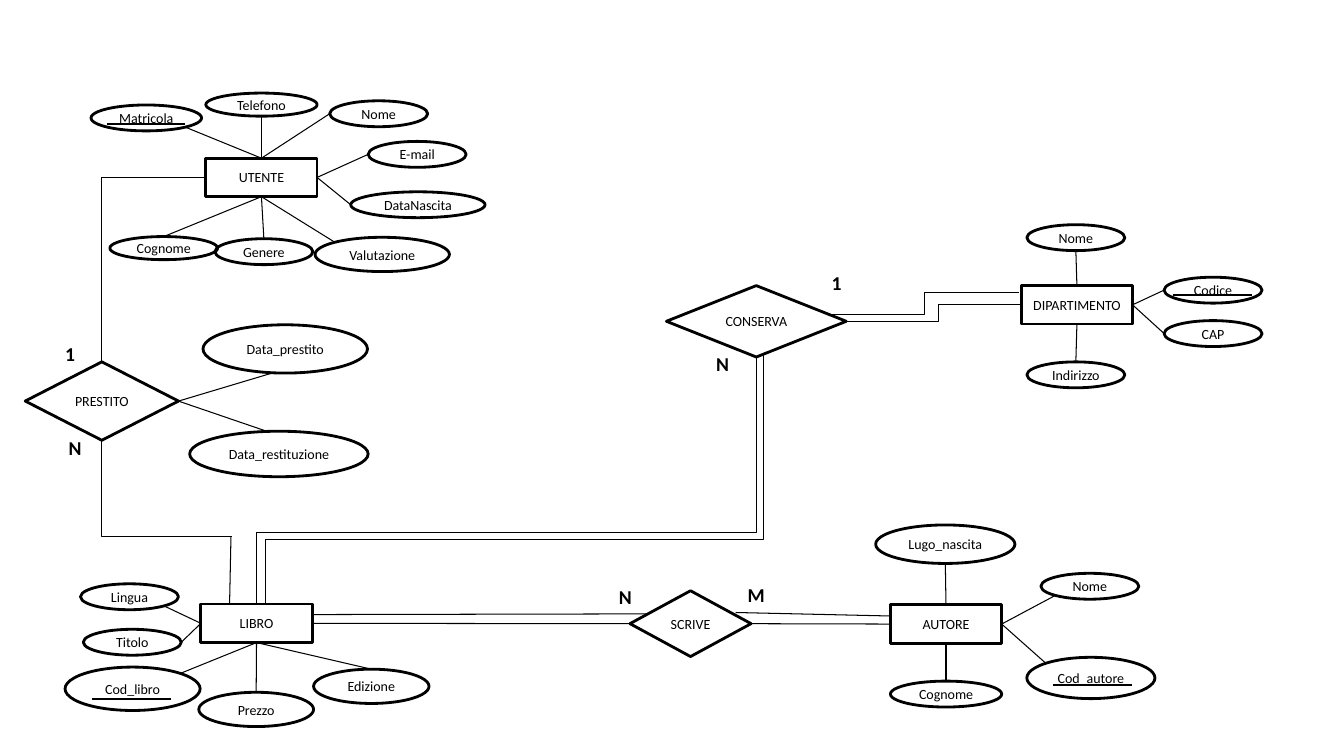
import pptx
import pptx.dml.color
import pptx.enum.shapes
import pptx.enum.text
import pptx.oxml.ns
import pptx.util
import lxml.etree

Pt = pptx.util.Pt
SHAPE = pptx.enum.shapes.MSO_SHAPE
LINE = pptx.enum.shapes.MSO_CONNECTOR
ALIGN = pptx.enum.text.PP_ALIGN
ANCHOR = pptx.enum.text.MSO_ANCHOR

INK = "000000"
NODE_FONT = {"name": "Calibri", "size": Pt(10), "bold": False}
LABEL_FONT = {"name": "Calibri", "size": Pt(14), "bold": True}
ENTITY = (79.5, 27.5)
OVAL = (70, 18.5)

SIDES = {
    "top": (0.5, 0), "bottom": (0.5, 1), "left": (0, 0.5), "right": (1, 0.5),
    "tl": (0.15, 0.15), "tr": (0.85, 0.15), "bl": (0.15, 0.85), "br": (0.85, 0.85),
    "near top": (0.43, 0), "near bottom": (0.42, 1),
}

ENTITIES = {
    "UTENTE": (147, 113, *ENTITY),
    "DIPARTIMENTO": (729.5, 204, *ENTITY),
    "LIBRO": (143.5, 431.5, *ENTITY),
    "AUTORE": (636, 432, *ENTITY),
}
RELATIONS = {
    "PRESTITO": (18, 258.5, 109.5, 56),
    "SCRIVE": (450, 422, 86.5, 47),
    "CONSERVA": (476, 204, 128.5, 51),
}
ATTRIBUTES = {
    "UTENTE": [
        ("Matricola", (65, 75, 79, 18.5), "top", "br"),
        ("Telefono", (147, 66.5, 79.5, 16.5), "top", "bottom"),
        ("Nome", (235.5, 72, *OVAL), "top", "left"),
        ("E-mail", (263, 101, *OVAL), "right", "left"),
        ("DataNascita", (250.5, 137, 96, 18.5), "right", "left"),
        ("Cognome", (78.5, 169, 77, 16.5), "bottom", "top"),
        ("Genere", (153.5, 170.5, *OVAL), "bottom", "top"),
        ("Valutazione", (225, 169.5, 96, 24.5), "bottom", "tl"),
    ],
    "PRESTITO": [
        ("Data_prestito", (145, 232, 117.5, 34.5), "right", "near bottom"),
        ("Data_restituzione", (135.5, 308, 127.5, 32.5), "right", "near top"),
    ],
    "DIPARTIMENTO": [
        ("Nome", (733.5, 160.5, *OVAL), "top", "bottom"),
        ("Codice", (831.5, 198, *OVAL), "right", "left"),
        ("CAP", (831.5, 229, *OVAL), "right", "left"),
        ("Indirizzo", (733.5, 258.5, *OVAL), "bottom", "top"),
    ],
    "LIBRO": [
        ("Lingua", (57.5, 417, *OVAL), "left", "br"),
        ("Titolo", (59.5, 449.5, *OVAL), "left", "right"),
        ("Cod_libro", (46.5, 476.5, 96.5, 31), "bottom", "tr"),
        ("Prezzo", (142, 494.5, 82, 24.5), "bottom", "top"),
        ("Edizione", (224, 478, 82.5, 24.5), "bottom", "top"),
    ],
    "AUTORE": [
        ("Lugo_nascita", (625.5, 375, 99.5, 27.5), "top", "bottom"),
        ("Nome", (743.5, 409.5, *OVAL), "right", "bl"),
        ("Cod_autore", (733.5, 469.5, 91.5, 29.5), "right", "tl"),
        ("Cognome", (636, 486.5, 79.5, 18.5), "bottom", "top"),
    ],
}
KEY_WIDTH = 56
KEY_UNDERLINES = [(76.5, 88.5), (838, 211), (66, 499), (752.5, 489.5)]
SECOND_STRANDS = [
    ((224, 439), (462, 438.5)),
    ((525.5, 437.5), (636, 440)),
    ((164, 431.5), (165, 383.5)),
]
CARDINALITIES = [
    ("1", 39.5, 240.5, 24), ("N", 42, 307.5, 45),
    ("1", 587, 190, 24), ("N", 504.5, 247.5, 26),
    ("N", 435, 414.5, 51), ("M", 527, 412.5, 51),
]


def color(value):
    return pptx.dml.color.RGBColor.from_string(value)


def apply(target, values):
    for name, value in values.items():
        setattr(target, name, value)


def write(tf, text, font, align):
    p = tf.paragraphs[0]
    p.alignment = align
    r = p.add_run()
    r.text = text
    apply(r.font, font)
    r.font.color.rgb = color(INK)


def stroke(line, width):
    line.color.rgb = color(INK)
    line.width = Pt(width)


def add_node(slide, kind, text, box):
    sp = slide.shapes.add_shape(kind, *map(Pt, box))
    sp.shadow.inherit = False
    sp.fill.background()
    stroke(sp.line, 2)
    apply(sp.text_frame, {"word_wrap": False, "vertical_anchor": ANCHOR.MIDDLE})
    write(sp.text_frame, text, NODE_FONT, ALIGN.CENTER)


def add_label(slide, text, x, y, width):
    sp = slide.shapes.add_textbox(Pt(x), Pt(y), Pt(width), Pt(24))
    sp.text_frame.word_wrap = True
    write(sp.text_frame, text, LABEL_FONT, ALIGN.LEFT)


def site(box, side):
    x, y, w, h = box
    fx, fy = SIDES[side]
    return x + fx * w, y + fy * h


def add_line(slide, start, end, width=0.75, kind=LINE.STRAIGHT):
    sp = slide.shapes.add_connector(kind, *map(Pt, (*start, *end)))
    stroke(sp.line, width)
    lxml.etree.SubElement(sp._element.spPr, pptx.oxml.ns.qn("a:effectLst"))
    return sp


def add_corner(slide, start, end):
    sp = add_line(slide, start, end, kind=LINE.ELBOW)
    sp._element.spPr.prstGeom.set("prst", "bentConnector2")


def add_elbow(slide, start, end, bend, vertical=False):
    if vertical:
        (x1, y1), (x2, y2) = start, end
        cx, cy = (x1 + x2) / 2, (y1 + y2) / 2
        half_w, half_h = (y2 - y1) / 2, (x1 - x2) / 2
        start, end = (cx - half_w, cy - half_h), (cx + half_w, cy + half_h)
    sp = add_line(slide, start, end, kind=LINE.ELBOW)
    spPr = sp._element.spPr
    if vertical:
        spPr.xfrm.set("rot", str(90 * 60000))
    guides = spPr.prstGeom.get_or_add_avLst()
    lxml.etree.SubElement(guides, pptx.oxml.ns.qn("a:gd"),
                          name="adj1", fmla=f"val {round(bend * 100000)}")


def main():
    prs = pptx.Presentation()
    apply(prs, {"slide_width": Pt(960), "slide_height": Pt(540)})
    slide = prs.slides.add_slide(prs.slide_layouts[6])
    nodes = {**ENTITIES, **RELATIONS}

    for kind, group in ((SHAPE.RECTANGLE, ENTITIES), (SHAPE.DIAMOND, RELATIONS)):
        for name, box in group.items():
            add_node(slide, kind, name, box)
    for owner, attributes in ATTRIBUTES.items():
        for name, box, owner_side, side in attributes:
            add_node(slide, SHAPE.OVAL, name, box)
            add_line(slide, site(nodes[owner], owner_side), site(box, side))
    for x, y in KEY_UNDERLINES:
        add_line(slide, (x, y), (x + KEY_WIDTH, y), 1.5)

    def at(name, side):
        return site(nodes[name], side)

    add_line(slide, at("LIBRO", "right"), at("SCRIVE", "left"))
    add_line(slide, at("SCRIVE", "right"), at("AUTORE", "left"))
    for start, end in SECOND_STRANDS:
        add_line(slide, start, end)
    add_corner(slide, at("UTENTE", "left"), at("PRESTITO", "top"))
    add_corner(slide, (165.5, 383), at("PRESTITO", "bottom"))
    add_elbow(slide, at("CONSERVA", "right"), at("DIPARTIMENTO", "left"), 0.53)
    add_elbow(slide, (590.5, 224.5), (728, 209), 0.51)
    add_elbow(slide, at("CONSERVA", "bottom"), at("LIBRO", "top"), 0.71, True)
    add_elbow(slide, (545.5, 253.5), (189.5, 432), 0.74, True)
    for label in CARDINALITIES:
        add_label(slide, *label)
    prs.save("out.pptx")


if __name__ == "__main__":
    main()
